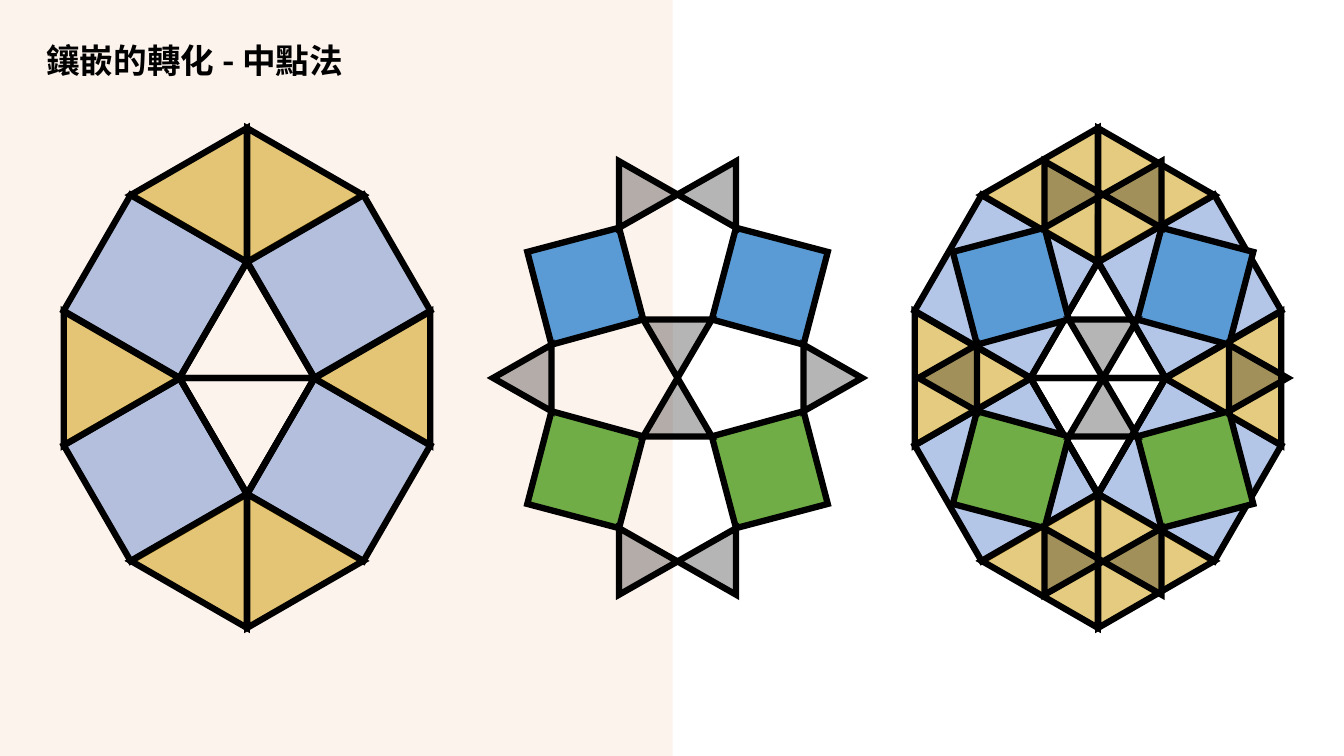
from itertools import product

from lxml.etree import SubElement
from pptx import Presentation
from pptx.dml.color import RGBColor
from pptx.enum.shapes import MSO_CONNECTOR, MSO_SHAPE
from pptx.enum.text import MSO_ANCHOR, MSO_AUTO_SIZE, PP_ALIGN
from pptx.oxml.ns import qn
from pptx.util import Inches, Pt

COLORS = {
    "panel": "F4B183", "divider": "FBE5D6", "ink": "000000",
    "square": "4472C4", "triangle": "CC9900",
    "upper": "5B9BD5", "lower": "70AD47",
}
FONT = "Noto Sans CJK SC"
SIDE, HEIGHT = 1.33, 1.15
MIDDLE = 3.75


def paint(shape, color=None, opacity=100):
    """Fill a tile (or leave it open) and give it the heavy mitred outline."""
    shape.shadow.inherit = False
    if color:
        shape.fill.solid()
        shape.fill.fore_color.rgb = RGBColor.from_string(COLORS[color])
        if opacity < 100:
            tint = shape.fill._xPr.find(qn("a:solidFill"))[0]
            SubElement(tint, qn("a:alpha"), val=str(opacity * 1000))
    else:
        shape.fill.background()
    outline(shape, "ink", 4.5)


def outline(shape, color, width):
    """Draw a mitred line and remove a connector's theme shadow."""
    shape.line.color.rgb = RGBColor.from_string(COLORS[color])
    shape.line.width = Pt(width)
    properties = shape.element.spPr
    SubElement(properties.find(qn("a:ln")), qn("a:miter"), lim="800000")
    if properties.find(qn("a:effectLst")) is None:
        SubElement(properties, qn("a:effectLst"))


prs = Presentation()
prs.slide_width, prs.slide_height = Inches(13.33), Inches(7.5)
slide = prs.slides.add_slide(prs.slide_layouts[5])

# Tinted left half
panel = slide.shapes.add_shape(MSO_SHAPE.RECTANGLE, 0, 0, Inches(6.67), Inches(7.5))
paint(panel, "panel", 14)
panel.line.fill.background()
divider = slide.shapes.add_connector(
    MSO_CONNECTOR.STRAIGHT, Inches(6.67), Inches(7.5), Inches(6.67), 0)
outline(divider, "divider", 0.25)
SubElement(divider.element.spPr.find(".//" + qn("a:srgbClr")), qn("a:alpha"), val="50000")

# Tiles as (preset, x, y, width, height, rotation, colour, opacity) about the centre
tiles = []
for side in (-1, 1):
    for y, turn in ((-0.91, 60 * side), (0.91, 180 - 60 * side)):
        tiles.append((MSO_SHAPE.RECTANGLE, 0.91 * side, y, SIDE, SIDE, turn, "square", 40))
    for x, y, turn in ((0.29, -1.98, -30 * side),
                       (1.53, 0.17, 180 - 30 * side),
                       (0.29, 1.98, 180 + 30 * side)):
        tiles.append((MSO_SHAPE.ISOSCELES_TRIANGLE, x * side, y, SIDE, HEIGHT, turn, "triangle", 50))
for y, turn in ((-HEIGHT / 2, 0), (HEIGHT / 2, 180)):
    tiles.append((MSO_SHAPE.ISOSCELES_TRIANGLE, 0, y, 1.34, HEIGHT, turn, None, 100))

# Midpoint polygons, mirrored across both axes
midpoint_square = [(-1.49, -1.25), (-0.58, -1.49), (-0.34, -0.58), (-1.25, -0.33)]
corner_triangle = [(-0.58, -2.15), (0, -1.82), (-0.58, -1.49)]
side_triangle = [(-1.83, 0), (-1.25, -0.33), (-1.25, 0.33)]
inner_triangle = [(-0.34, -0.58), (0.34, -0.58), (0, 0)]
polygons = []
for flip_x, flip_y in product((1, -1), repeat=2):
    square_color = "upper" if flip_y == 1 else "lower"
    polygons.append((midpoint_square, flip_x, flip_y, square_color, 100))
    polygons.append((corner_triangle, flip_x, flip_y, "ink", 29))
for flip in (1, -1):
    polygons.append((side_triangle, flip, 1, "ink", 29))
    polygons.append((inner_triangle, 1, flip, "ink", 29))

# Tessellation, its midpoint pattern, and both together
for tile_center, pattern_center in ((2.45, None), (None, 6.72), (10.89, 10.94)):
    figure = slide.shapes.add_group_shape().shapes
    if tile_center:
        for preset, x, y, width, height, turn, color, opacity in tiles:
            tile = figure.add_shape(
                preset, Inches(tile_center + x - width / 2), Inches(MIDDLE + y - height / 2),
                Inches(width), Inches(height))
            tile.rotation = turn % 360
            paint(tile, color, opacity)
        for side in (1, -1):
            edge = figure.add_connector(
                MSO_CONNECTOR.STRAIGHT, Inches(tile_center), Inches(MIDDLE + HEIGHT),
                Inches(tile_center + 0.67 * side), Inches(MIDDLE))
            outline(edge, "ink", 4.5)
    if pattern_center:
        for corners, flip_x, flip_y, color, opacity in polygons:
            points = [(Inches(pattern_center + x * flip_x), Inches(MIDDLE + y * flip_y))
                      for x, y in corners]
            builder = figure.build_freeform(*points[0])
            builder.add_line_segments(points[1:], close=True)
            paint(builder.convert_to_shape(), color, opacity)

# Title, in front of the tinted panel
title = slide.shapes.title
title.left, title.top = Inches(0.36), Inches(0.4)
title.width, title.height = Inches(5.95), Inches(0.44)
title.element.getparent().append(title.element)
frame = title.text_frame
frame.text = "鑲嵌的轉化 - 中點法"
frame.word_wrap = False
frame.auto_size = MSO_AUTO_SIZE.NONE
frame.vertical_anchor = MSO_ANCHOR.MIDDLE
heading = frame.paragraphs[0]
heading.alignment = PP_ALIGN.LEFT
heading.line_spacing = 0.9
run = heading.runs[0]
run.font.size = Pt(24)
run.font.bold = True
run.font.name = FONT
run.font.color.rgb = RGBColor.from_string(COLORS["ink"])
SubElement(run.font._element, qn("a:ea"), typeface=FONT)

prs.save("out.pptx")
